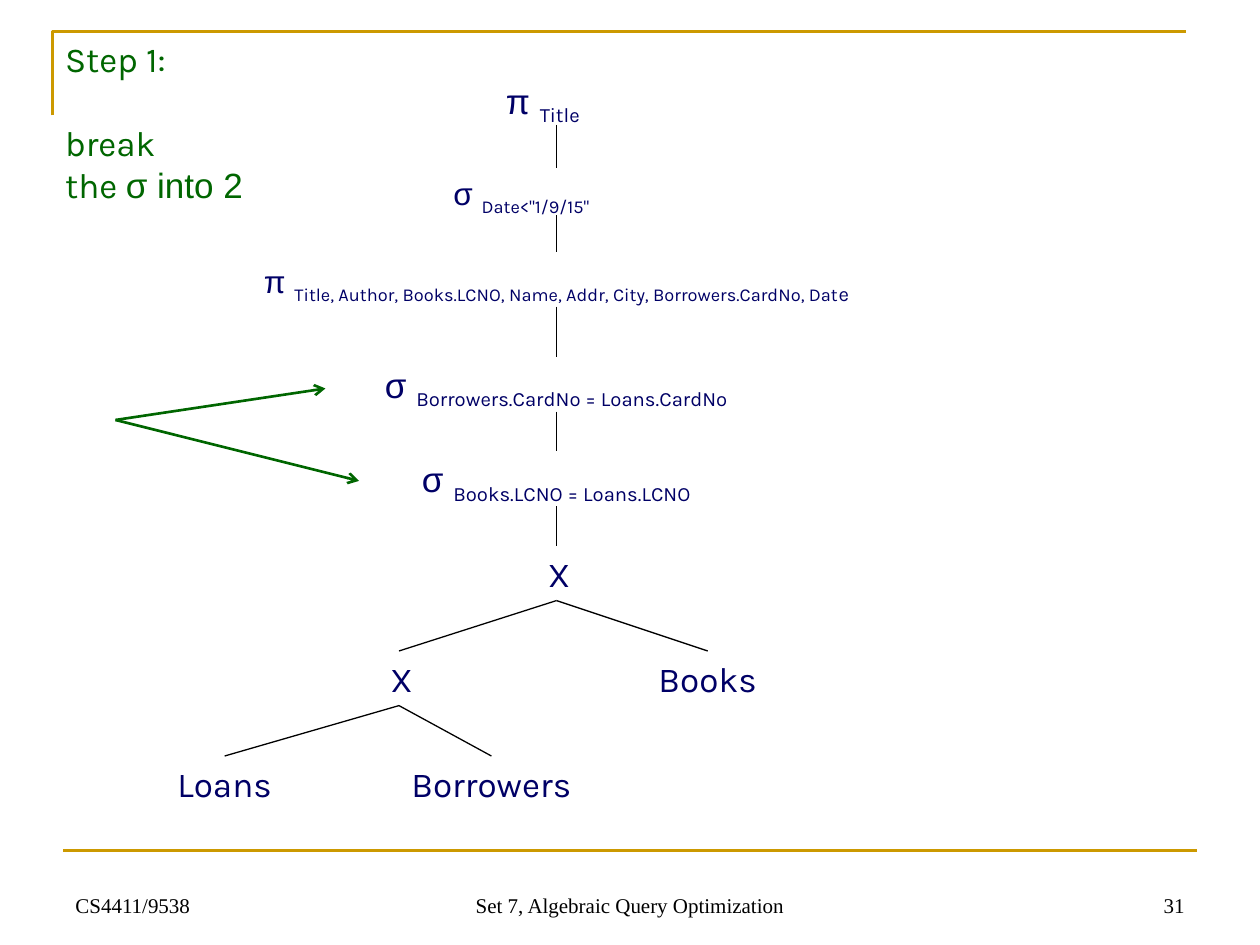
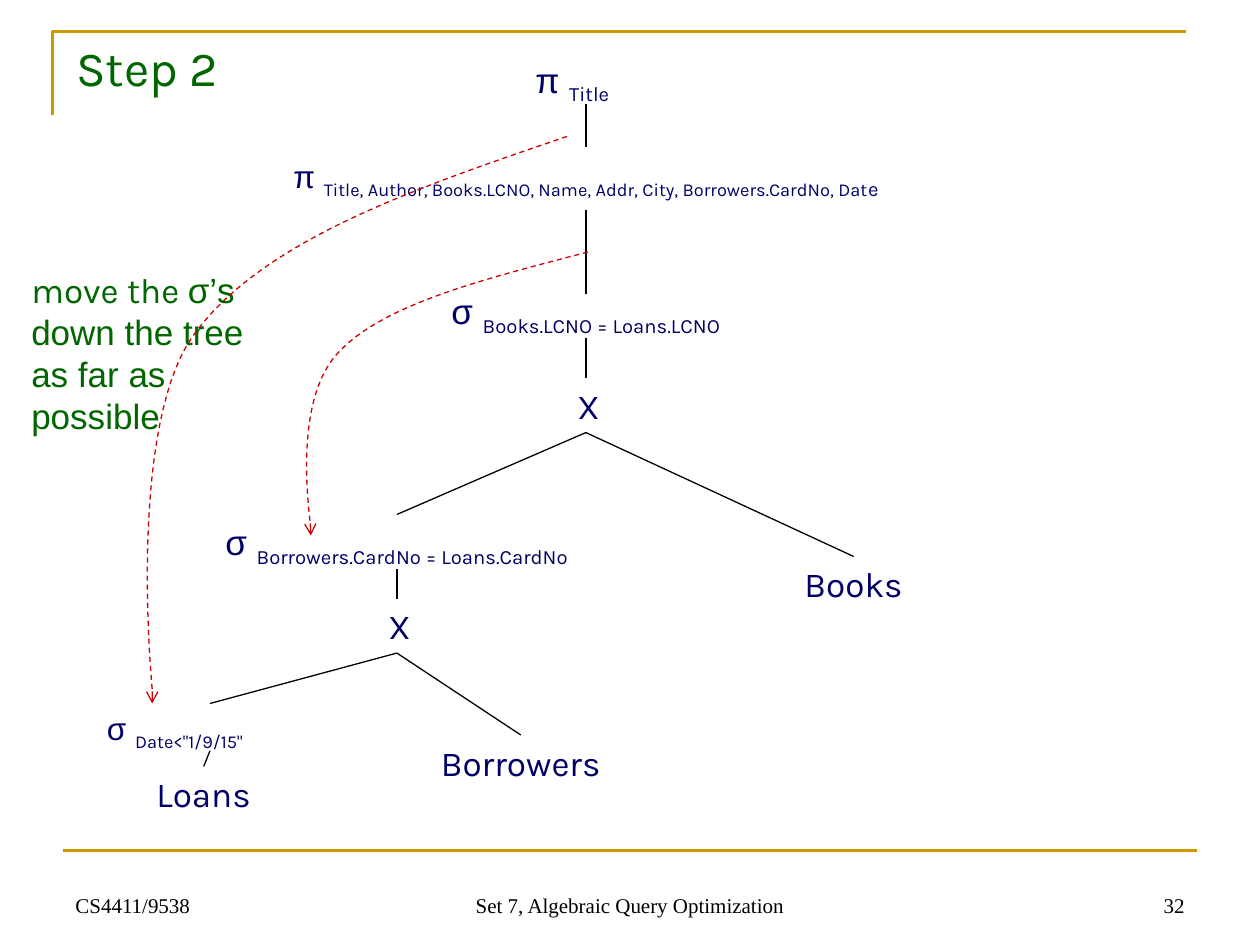
from typing import NamedTuple

from lxml import etree
from pptx import Presentation
from pptx import util as u
from pptx.dml.color import RGBColor
from pptx.enum import dml, shapes, text
from pptx.oxml.ns import qn

# Grid: 120 columns by 90 rows on a 10 x 7.5 inch slide
WIDTH, HEIGHT = u.Inches(10), u.Inches(7.5)
COLUMNS = 120
CELL = WIDTH / COLUMNS

GOLD = RGBColor(0xCC, 0x99, 0x00)
NAVY = RGBColor(0x00, 0x00, 0x66)
GREEN = RGBColor(0x00, 0x66, 0x00)
RED = RGBColor(0xCC, 0x00, 0x00)
BLACK = RGBColor(0, 0, 0)

KARLA, ARIAL, TIMES = "Karla", "Arial", "Times New Roman"
LEFT, CENTER, RIGHT = text.PP_ALIGN.LEFT, text.PP_ALIGN.CENTER, text.PP_ALIGN.RIGHT

Point = tuple[float, float]


class Run(NamedTuple):
    text: str
    font: str = KARLA
    subscript: bool = False
    size: float | None = None


class Term(NamedTuple):
    """An operator or relation; stem is where lines below it start."""
    runs: list[Run]
    width: float
    size: float = 20
    stem: float = 5.2
    hanging: bool = False


class Node(NamedTuple):
    term: Term
    x: float
    top: float
    children: tuple = ()
    extra_stem: float = 0


class Footer(NamedTuple):
    text: str
    left: float
    width: float
    align: text.PP_ALIGN


def operator(symbol: str, label: str) -> list[Run]:
    return [Run(symbol + " ", ARIAL), Run(label, subscript=True)]


# Terms of the query
TITLE = Term(operator("π", "Title"), 12, stem=4.9, hanging=True)
DATE = Term(operator("σ", 'Date<"1/9/15"'), 22, 18, stem=4.5, hanging=True)
FIELDS = Term(
    operator("π", "Title, Author, Books.LCNO, Name, Addr, City, Borrowers.CardNo, Dat")
    + [Run("e", subscript=True, size=20)], 62, 18)
SAME_BOOK = Term(operator("σ", "Books.LCNO = Loans.LCNO"), 30)
SAME_CARD = Term(operator("σ", "Borrowers.CardNo = Loans.CardNo"), 37)
PRODUCT = Term([Run("X")], 4)
LOANS = Term([Run("Loans")], 12)
BORROWERS = Term([Run("Borrowers")], 19)
BOOKS = Term([Run("Books")], 12)


def grid(n: float) -> u.Emu:
    return u.Emu(round(n * CELL))


# Text
def write(p, runs: list[Run], size: float, color: RGBColor, align=LEFT) -> None:
    p.alignment = align
    p.font.size, p.font.color.rgb = u.Pt(size), color
    if len({run.font for run in runs}) == 1:
        p.font.name = runs[0].font
    for run in runs:
        r = p.add_run()
        r.text = run.text
        if p.font.name is None:
            r.font.name = run.font
        if run.size:
            r.font.size = u.Pt(run.size)
        if run.subscript:
            r.font._element.set("baseline", "-25000")


def write_lines(tf, lines: list[list[Run]], size: float, color: RGBColor, align=LEFT) -> None:
    for i, runs in enumerate(lines):
        p = tf.add_paragraph() if i else tf.paragraphs[0]
        write(p, runs, size, color, align)


def add_box(s, left: float, top: float, width: float, height: float, wrap: bool = True):
    tf = s.shapes.add_textbox(grid(left), grid(top), grid(width), grid(height)).text_frame
    tf.word_wrap = wrap
    return tf


def set_title(s, lines: list[list[Run]], size: float, width: float, height: float, align=LEFT):
    title = s.shapes.title
    title.left, title.top = grid(5), grid(3)
    title.width, title.height = grid(width), grid(height)
    tf = title.text_frame
    tf.word_wrap = True
    tf.auto_size = text.MSO_AUTO_SIZE.NONE
    tf.vertical_anchor = text.MSO_ANCHOR.TOP
    write_lines(tf, lines, size, GREEN, align)
    return tf


# Lines
def add_arrowhead(shape) -> None:
    ln = shape.element.spPr.find(qn("a:ln"))
    etree.SubElement(ln, qn("a:tailEnd"), type="arrow")


def add_line(s, start: Point, end: Point, color=BLACK, width: float = 0.75, arrow=False) -> None:
    line = s.shapes.add_connector(
        shapes.MSO_CONNECTOR.STRAIGHT, *(grid(n) for n in (*start, *end)))
    line.line.color.rgb, line.line.width = color, u.Pt(width)
    if arrow:
        add_arrowhead(line)
    etree.SubElement(line.element.spPr, qn("a:effectLst"))


def add_outline(s, points: list[Point], color: RGBColor, width: float):
    start, *rest = [(grid(x), grid(y)) for x, y in points]
    builder = s.shapes.build_freeform(*start)
    builder.add_line_segments(rest, close=False)
    shape = builder.convert_to_shape()
    shape.fill.background()
    shape.line.color.rgb, shape.line.width = color, u.Pt(width)
    shape.shadow.inherit = False
    return shape


def add_move_arrow(s, points: list[Point]) -> None:
    """Dashed arrow: two Bézier curves (three points each), then a straight tip."""
    shape = add_outline(s, points, RED, 0.75)
    shape.line.dash_style = dml.MSO_LINE.DASH
    add_arrowhead(shape)
    segments = list(shape.element.iter(qn("a:lnTo")))
    for first in (0, 3):
        curve, *others = segments[first:first + 3]
        curve.tag = qn("a:cubicBezTo")
        for other in others:
            curve.append(other[0])
            other.getparent().remove(other)


# Query tree
def draw_tree(s, node: Node) -> None:
    term = node.term
    tf = add_box(s, node.x - term.width / 2, node.top, term.width, 5.3, term.hanging)
    p = tf.paragraphs[0]
    write(p, term.runs, term.size, NAVY, LEFT if term.hanging else CENTER)
    if term.hanging:
        p.line_spacing, p.space_before = 0.9, u.Pt(term.size / 4)
        pPr = p._p.get_or_add_pPr()
        pPr.set("marL", str(u.Inches(0.38)))
        pPr.set("indent", str(-u.Inches(0.38)))
    for child in node.children:
        stem = node.top + term.stem + node.extra_stem
        add_line(s, (node.x, stem), (child.x, child.top))
        draw_tree(s, child)


# Frame and footer
def new_slide(prs, number: int):
    s = prs.slides.add_slide(prs.slide_layouts[5])
    add_outline(s, [(5, 11), (5, 3), (113, 3)], GOLD, 1.5)
    add_line(s, (6, 81), (114, 81), GOLD, 1.5)
    for footer in (Footer("CS4411/9538", 6, 28, LEFT),
                   Footer("Set 7, Algebraic Query Optimization", 41, 38, CENTER),
                   Footer(str(number), 86, 28, RIGHT)):
        tf = add_box(s, footer.left, 82, footer.width, 6)
        tf.vertical_anchor = text.MSO_ANCHOR.BOTTOM
        write(tf.paragraphs[0], [Run(footer.text, TIMES)], 12, BLACK, footer.align)
    return s


def build_step_1(prs) -> None:
    s = new_slide(prs, 31)
    tf = set_title(s, [[Run("Step 1:")], [Run("break")],
                       [Run("the "), Run("σ into 2", ARIAL)]], 20, 21, 17.3)
    tf.paragraphs[1].space_before = u.Pt(24)

    trunk, branch = 53, 38
    inner = Node(PRODUCT, branch, 62, (Node(LOANS, 21.4, 72), Node(BORROWERS, 46.8, 72)))
    tree = Node(PRODUCT, trunk, 52, (inner, Node(BOOKS, 67.4, 62)))
    for term, top in ((SAME_BOOK, 43), (SAME_CARD, 34), (FIELDS, 24), (DATE, 16), (TITLE, 7)):
        tree = Node(term, trunk, top, (tree,))
    draw_tree(s, tree)

    # Arrows to the two selections
    for tip in ((31, 37), (34.2, 45.8)):
        add_line(s, (11, 40), tip, GREEN, 1.5, arrow=True)


def build_step_2(prs) -> None:
    s = new_slide(prs, 32)
    set_title(s, [[Run("Step 2")]], 28, 18, 6.8, CENTER)

    trunk, branch = 55.8, 37.8
    dated_loans = Node(DATE, 20, 67, (Node(LOANS, 19.4, 73),))
    inner = Node(PRODUCT, branch, 57, (dated_loans, Node(BORROWERS, 49.6, 70)))
    same_card = Node(SAME_CARD, branch, 49, (inner,))
    tree = Node(PRODUCT, trunk, 36, (same_card, Node(BOOKS, 81.3, 53)))
    tree = Node(SAME_BOOK, trunk, 27, (tree,))
    tree = Node(FIELDS, trunk, 14, (tree,), extra_stem=0.8)
    draw_tree(s, Node(TITLE, trunk, 5, (tree,)))
    add_line(s, (trunk, 25), (trunk, 28))

    # Where the selections move to
    note = add_box(s, 1.8, 25, 28.3, 13.2, wrap=False)
    write_lines(note, [[Run("move the "), Run("σ’s", ARIAL)],
                       [Run("down the tree", ARIAL)],
                       [Run("as far as possible", ARIAL)]], 20, GREEN)
    add_move_arrow(s, [(54, 13), (39.6, 17.9), (25.2, 22.8), (18.6, 31.7),
                       (12, 40.4), (14.5, 65.6), (14.5, 65.6), (14.5, 67)])
    add_move_arrow(s, [(56, 24), (46.4, 26.5), (36.7, 28.9), (32.4, 33.4),
                       (28, 37.7), (29.6, 50.3), (29.6, 50.3), (29.6, 51)])


def main() -> None:
    prs = Presentation()
    prs.slide_width, prs.slide_height = WIDTH, HEIGHT
    build_step_1(prs)
    build_step_2(prs)
    prs.save("out.pptx")


if __name__ == "__main__":
    main()
